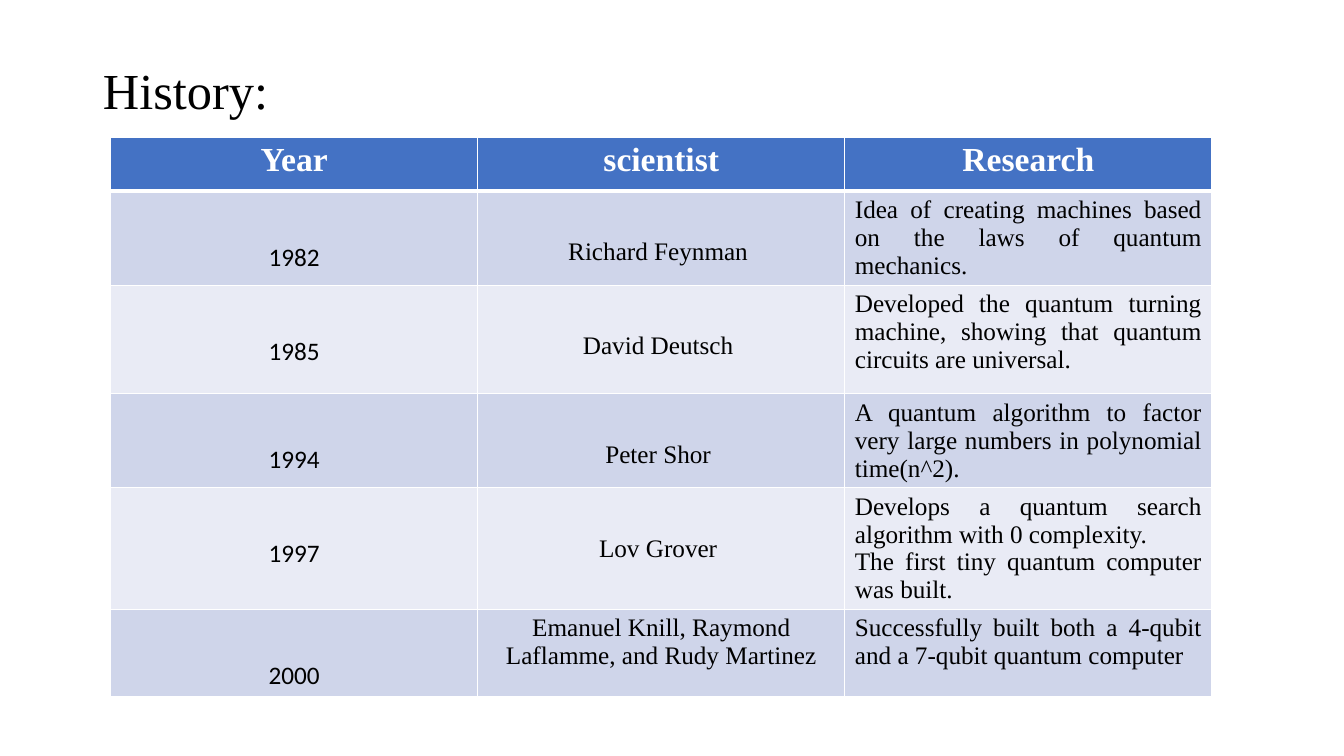
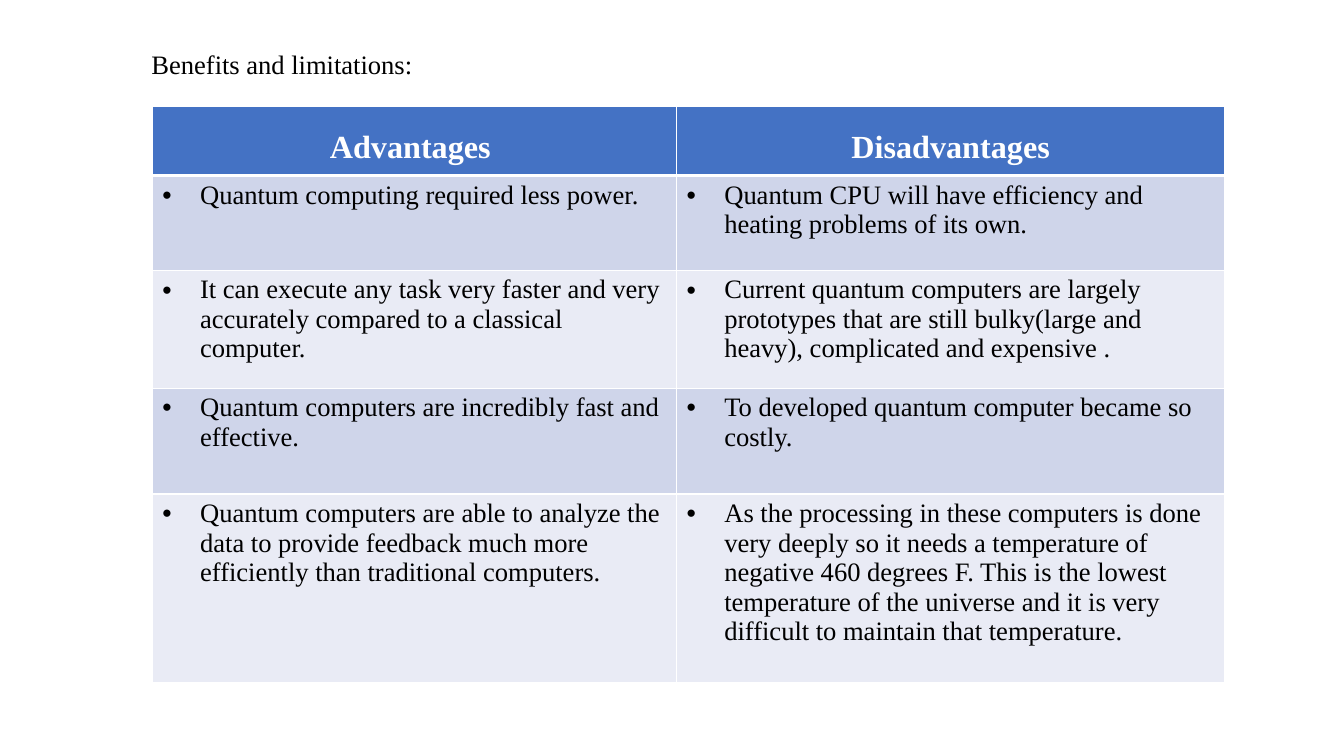
from dataclasses import dataclass, field, replace
from typing import Any

from lxml.etree import SubElement
from pptx import Presentation
from pptx.dml.color import RGBColor
from pptx.enum.text import MSO_ANCHOR, MSO_AUTO_SIZE, PP_ALIGN
from pptx.oxml.ns import qn
from pptx.slide import Slide
from pptx.table import _Cell
from pptx.text.text import TextFrame, _Paragraph
from pptx.util import Cm, Pt

BLACK = RGBColor(0x00, 0x00, 0x00)
WHITE = RGBColor(0xFF, 0xFF, 0xFF)
HEADER_BLUE = RGBColor(0x44, 0x72, 0xC4)
BANDS = (RGBColor(0xCF, 0xD5, 0xEA), RGBColor(0xE9, 0xEB, 0xF5))

SERIF = "Times New Roman"
SANS = "Calibri"
TITLE_ONLY = 5
BULLET_INDENT = Cm(0.95)
THIN, THICK = Pt(1), Pt(3)


@dataclass(frozen=True)
class TextStyle:
    size: float
    font: str = SERIF
    color: RGBColor = BLACK
    bold: bool = False
    align: PP_ALIGN = PP_ALIGN.LEFT
    spacing: float = 1.0
    bullet: bool = False


@dataclass(frozen=True)
class Title:
    text: str
    left: float
    top: float
    width: float
    height: float
    style: TextStyle


@dataclass(frozen=True)
class Row:
    """A table row; overrides maps a column index to its own text style."""
    height: float
    texts: tuple[str, ...]
    overrides: dict[int, TextStyle] = field(default_factory=dict)


@dataclass(frozen=True)
class TableContent:
    """Positions in centimetres; the first row is the header."""
    left: float
    top: float
    widths: tuple[float, ...]
    header_style: TextStyle
    column_styles: tuple[TextStyle, ...]
    rows: tuple[Row, ...]


YEAR = TextStyle(18, SANS, align=PP_ALIGN.CENTER, spacing=2.5)
SCIENTIST = replace(YEAR, font=SERIF)
TEAM = replace(SCIENTIST, spacing=1.0)
RESEARCH = TextStyle(18, align=PP_ALIGN.JUSTIFY)
HISTORY_HEADER = TextStyle(24, color=WHITE, bold=True, align=PP_ALIGN.CENTER)
BENEFITS_HEADER = replace(HISTORY_HEADER, size=23, spacing=1.5)
POINT = TextStyle(19, bullet=True)

HISTORY_TITLE = Title("History:", 2.34, 0.51, 5.16, 3.68, TextStyle(36, spacing=0.9))
HISTORY = TableContent(
    2.79, 3.45, (9.25,) * 3, HISTORY_HEADER, (YEAR, SCIENTIST, RESEARCH),
    (
        Row(1.37, ("Year", "scientist", "Research")),
        Row(2.21, ("1982", "Richard Feynman ",
                   "Idea of creating machines based on the laws of quantum mechanics.")),
        Row(2.74, ("1985", "David Deutsch ",
                   "Developed the quantum turning machine, showing that quantum "
                   "circuits are universal.")),
        Row(2.13, ("1994", "Peter Shor ",
                   "A quantum algorithm to factor very large numbers in polynomial "
                   "time(n^2).")),
        Row(2.67, ("1997", "Lov Grover ",
                   "Develops a quantum search algorithm with 0 complexity.\n"
                   "The first tiny quantum computer was built. ")),
        Row(2.21, ("2000", "Emanuel Knill, Raymond Laflamme, and Rudy Martinez",
                   "Successfully built both a 4-qubit and a 7-qubit quantum computer"),
            {1: TEAM}),
    ),
)

BENEFITS_TITLE = Title("Benefits and limitations:", 3.51, 1.07, 7.19, 1.07,
                       TextStyle(19, align=PP_ALIGN.CENTER))
BENEFITS = TableContent(
    3.84, 2.69, (13.21, 13.82), BENEFITS_HEADER, (POINT, POINT),
    (
        Row(1.73, ("Advantages ", "Disadvantages")),
        Row(2.39, ("Quantum computing required less power.",
                   "Quantum CPU will have efficiency and heating problems of its own.")),
        Row(2.97, ("It can execute any task very faster and very accurately compared "
                   "to a classical computer.",
                   "Current quantum computers are largely prototypes that are "
                   "still bulky(large and heavy), complicated and expensive .")),
        Row(2.67, ("Quantum computers are incredibly fast and effective. ",
                   "To developed quantum computer became so costly.")),
        Row(4.75, ("Quantum computers are able to analyze the data to provide feedback "
                   "much more efficiently than traditional computers.",
                   "As the processing in these computers is done very deeply so it needs "
                   "a temperature of negative 460 degrees F. This is the lowest "
                   "temperature of the universe and it is very difficult to maintain "
                   "that temperature.")),
    ),
)


def set_attributes(target: Any, values: dict[str, Any]) -> None:
    for name, value in values.items():
        setattr(target, name, value)


def add_bullet(paragraph: _Paragraph) -> None:
    properties = paragraph._p.get_or_add_pPr()
    properties.set("marL", str(BULLET_INDENT))
    properties.set("indent", str(-BULLET_INDENT))
    SubElement(properties, qn("a:buFont"), typeface="Arial")
    SubElement(properties, qn("a:buChar"), char="•")


def write_text(frame: TextFrame, text: str, style: TextStyle) -> None:
    frame.text = text
    for paragraph in frame.paragraphs:
        set_attributes(paragraph, {"alignment": style.align,
                                   "line_spacing": style.spacing})
        if style.bullet:
            add_bullet(paragraph)
        for run in paragraph.runs:
            set_attributes(run.font, {"name": style.font, "size": Pt(style.size),
                                      "bold": style.bold})
            run.font.color.rgb = style.color


def set_borders(cell: _Cell, top: int, bottom: int) -> None:
    properties = cell._tc.get_or_add_tcPr()
    for side, width in {"L": THIN, "R": THIN, "T": top, "B": bottom}.items():
        line = SubElement(properties, qn(f"a:ln{side}"), w=str(width))
        fill = SubElement(line, qn("a:solidFill"))
        SubElement(fill, qn("a:srgbClr"), val=str(WHITE))


def add_title(slide: Slide, title: Title) -> None:
    heading = slide.shapes.title
    set_attributes(heading, {name: Cm(getattr(title, name))
                             for name in ("left", "top", "width", "height")})
    set_attributes(heading.text_frame, {"word_wrap": False,
                                        "auto_size": MSO_AUTO_SIZE.NONE,
                                        "vertical_anchor": MSO_ANCHOR.MIDDLE})
    write_text(heading.text_frame, title.text, title.style)


def add_banded_table(slide: Slide, content: TableContent) -> None:
    table = slide.shapes.add_table(
        len(content.rows), len(content.widths), Cm(content.left), Cm(content.top),
        Cm(sum(content.widths)), Cm(sum(row.height for row in content.rows)),
    ).table
    for column, width in zip(table.columns, content.widths):
        column.width = Cm(width)
    for row_index, row in enumerate(content.rows):
        table.rows[row_index].height = Cm(row.height)
        is_header = row_index == 0
        for column_index, text in enumerate(row.texts):
            cell = table.cell(row_index, column_index)
            set_borders(cell, top=THICK if row_index == 1 else THIN,
                        bottom=THICK if is_header else THIN)
            cell.fill.solid()
            cell.fill.fore_color.rgb = (HEADER_BLUE if is_header
                                        else BANDS[(row_index - 1) % len(BANDS)])
            style = (content.header_style if is_header else
                     row.overrides.get(column_index, content.column_styles[column_index]))
            write_text(cell.text_frame, text, style)


def main() -> None:
    presentation = Presentation()
    set_attributes(presentation, {"slide_width": Cm(33.87), "slide_height": Cm(19.05)})
    for title, content in ((HISTORY_TITLE, HISTORY), (BENEFITS_TITLE, BENEFITS)):
        slide = presentation.slides.add_slide(presentation.slide_layouts[TITLE_ONLY])
        add_title(slide, title)
        add_banded_table(slide, content)
    presentation.save("out.pptx")


if __name__ == "__main__":
    main()
